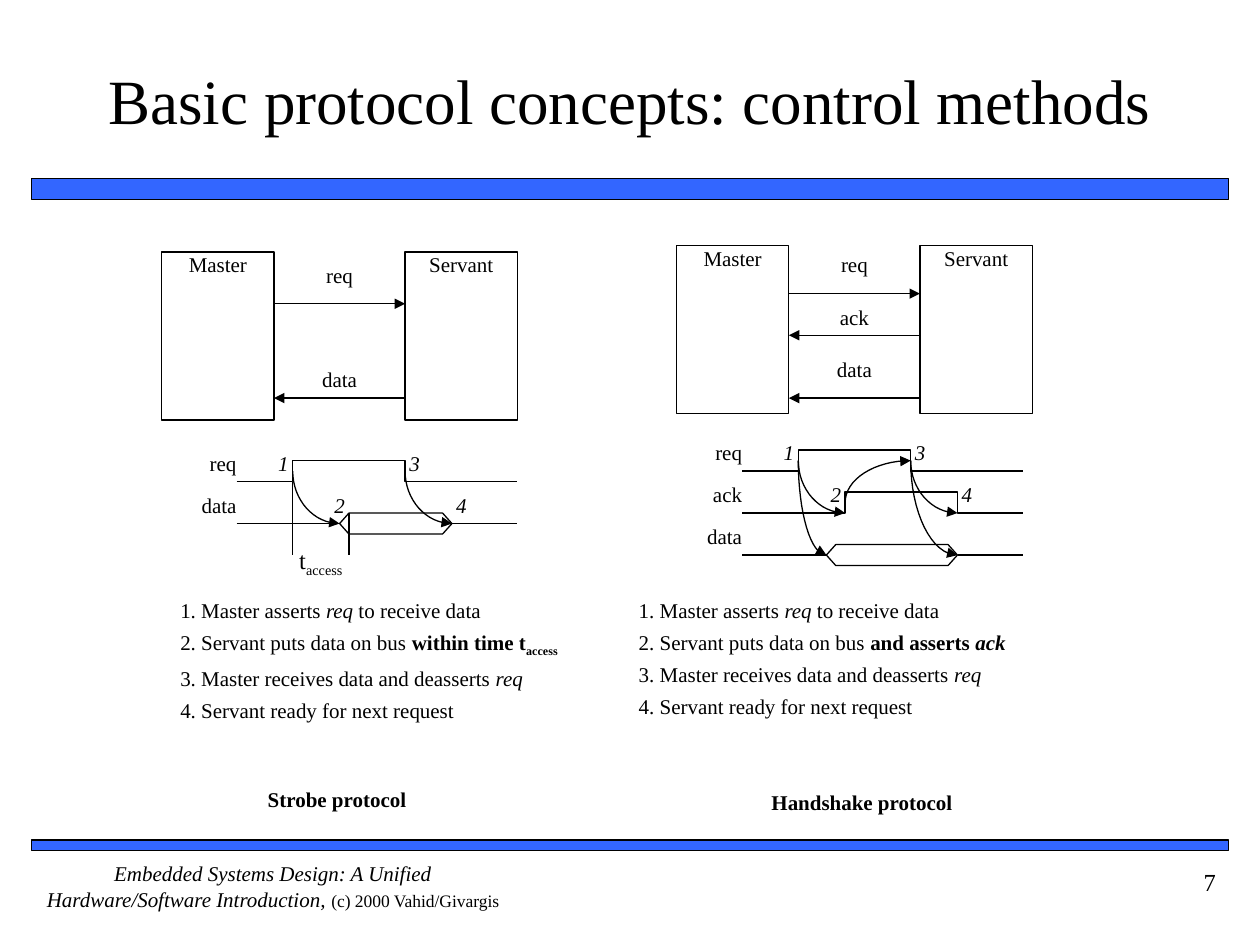
import math
from dataclasses import dataclass

import pptx
import pptx.dml.color
import pptx.enum.shapes
import pptx.enum.text
import pptx.oxml.ns
import pptx.util
from lxml import etree

Pt = pptx.util.Pt
Align = pptx.enum.text.PP_ALIGN
Kind = pptx.enum.shapes.MSO_SHAPE
qn = pptx.oxml.ns.qn


@dataclass(frozen=True)
class Theme:
    ink: str = "000000"
    paper: str = "FFFFFF"
    band: str = "3366FF"
    font: str = "Times New Roman"
    title: float = 36
    big: float = 14
    text: float = 12
    small: float = 10
    thin: float = 0.75
    thick: float = 1.5


T = Theme()
X = 5.35  # time step, width of one grid cell
ROW = 24  # gap between signal rows
HIGH = 12  # height of a pulse


def tint(code):
    return pptx.dml.color.RGBColor.from_string(code)


def write(shape, *lines, size=T.text, align=Align.CENTER, inset=(0, 0),
          middle=False, after=0):
    """Fill a shape with lines; a line is a list of (text, marks[, size]).

    Marks: b bold, i italic, s subscript.
    """
    frame = shape.text_frame
    frame.word_wrap = True
    frame.auto_size = pptx.enum.text.MSO_AUTO_SIZE.NONE
    anchor = pptx.enum.text.MSO_ANCHOR
    frame.vertical_anchor = anchor.MIDDLE if middle else anchor.TOP
    frame.margin_left = frame.margin_right = Pt(inset[0])
    frame.margin_top = frame.margin_bottom = Pt(inset[1])
    for i, line in enumerate(lines):
        para = frame.add_paragraph() if i else frame.paragraphs[0]
        para.alignment = align
        para.space_before, para.space_after = Pt(0), Pt(after)
        for text, marks, *own in line:
            run = para.add_run()
            run.text = text
            font = run.font
            font.name, font.size = T.font, Pt(own[0] if own else size)
            font.bold, font.italic = "b" in marks, "i" in marks
            font.color.rgb = tint(T.ink)
            if "s" in marks:
                run._r.get_or_add_rPr().set("baseline", "-25000")


def place(shape, x, y, w, h):
    shape.left, shape.top, shape.width, shape.height = map(Pt, (x, y, w, h))


def label(slide, text, x, y, w, h=24, marks="", **form):
    parts = [(text, marks)] if isinstance(text, str) else text
    write(slide.shapes.add_textbox(Pt(x), Pt(y), Pt(w), Pt(h)), parts, **form)


def stroke(shape, width=T.thin, arrow=False):
    shape.line.color.rgb = tint(T.ink)
    shape.line.width = Pt(width)
    if arrow:
        tip = etree.SubElement(shape.line._get_or_add_ln(), qn("a:tailEnd"))
        tip.set("type", "triangle")


def block(slide, x, y, w, h, fill=None, kind=Kind.RECTANGLE, width=T.thin):
    shape = slide.shapes.add_shape(kind, Pt(x), Pt(y), Pt(w), Pt(h))
    shape.shadow.inherit = False
    if fill:
        shape.fill.solid()
        shape.fill.fore_color.rgb = tint(fill)
    else:
        shape.fill.background()
    stroke(shape, width)
    return shape


def link(slide, x1, y1, x2, y2, **form):
    line = slide.shapes.add_connector(
        pptx.enum.shapes.MSO_CONNECTOR.STRAIGHT, Pt(x1), Pt(y1), Pt(x2), Pt(y2))
    stroke(line, **form)
    etree.SubElement(line._element.spPr, qn("a:effectLst"))


def trace(slide, points, **form):
    spots = [(Pt(x), Pt(y)) for x, y in points]
    path = slide.shapes.build_freeform(*spots[0])
    path.add_line_segments(spots[1:], close=False)
    shape = path.convert_to_shape()
    shape.shadow.inherit = False
    shape.fill.background()
    stroke(shape, **form)


def curve(slide, x1, y1, x2, y2, steps=16):
    """Quarter ellipse that leaves upright and lands level, with an arrow."""
    turns = [math.pi / 2 * i / steps for i in range(steps + 1)]
    trace(slide, [(x1 + (x2 - x1) * (1 - math.cos(a)),
                   y1 + (y2 - y1) * math.sin(a)) for a in turns], arrow=True)


def pair(slide, x, y, links):
    """Master and servant boxes; links are (name, label y, line y, back, width)."""
    wide, far = 12 * X, 26 * X
    for name, left in (("Master", x), ("Servant", x + far)):
        write(block(slide, left, y, wide, 96, T.paper), [(name, "")])
    for name, top, line, back, width in links:
        ends = (x + far, x + wide) if back else (x + wide, x + far)
        link(slide, ends[0], line, ends[1], line, width=width, arrow=True)
        label(slide, name, x + 14 * X, top, 10 * X)


def chart(slide, x, y, pulses, bus, marks, curves):
    """Timing chart; x is the start of time and y the low level of req."""
    def at(step, drop):
        return x + step * X, y + drop

    # Pulse rows, then the data bus
    for i, (name, rise, fall) in enumerate(pulses):
        low = i * ROW
        label(slide, name, x - 6 * X, y + low - 18, 6 * X, align=Align.RIGHT)
        trace(slide, [at(0, low), at(rise, low), at(rise, low - HIGH),
                      at(fall, low - HIGH), at(fall, low), at(30, low)])
    mid, (start, stop) = len(pulses) * ROW, bus
    label(slide, "data", x - 6 * X, y + mid - 18, 6 * X, align=Align.RIGHT)
    cell = block(slide, *at(start, mid - 6), (stop - start) * X, 12,
                 kind=Kind.HEXAGON)
    cell.adjustments[0] = X / 12
    for a, b in ((0, start), (stop, 30)):
        link(slide, *at(a, mid), *at(b, mid))

    # Cause arrows and step marks
    for a, rise, b, drop in curves:
        curve(slide, *at(a, rise), *at(b, drop))
    for i, (step, row) in enumerate(marks, 1):
        label(slide, str(i), *at(step, row * ROW - 18), 2 * X, 18, marks="i")


def steps(holder, x, second):
    place(holder, x, 341.3, 246, 80)
    write(holder,
          [("1. Master asserts ", ""), ("req", "i"), (" to receive data", "")],
          [("2. Servant puts data on bus ", ""), *second],
          [("3. Master receives data and deasserts ", ""), ("req", "i")],
          [("4. Servant ready for next request", "")],
          align=Align.LEFT, after=4)
    for para in holder.text_frame.paragraphs:
        props = para._p.get_or_add_pPr()
        props.set("marL", "0")
        props.set("indent", "0")
        etree.SubElement(props, qn("a:buNone"))


def frame(slide):
    """Title, bands, footer and page number."""
    place(slide.shapes.title, 30, 12, 660, 90)
    write(slide.shapes.title, [("Basic protocol concepts: control methods", "")],
          size=T.title, inset=(0, 3.6), middle=True)
    for top, high in ((102, 12), (480, 6)):
        block(slide, 18, top, 684, high, T.band, width=1)
    label(slide, [("Embedded Systems Design: A Unified Hardware/Software "
                   "Introduction, ", "i"),
                  ("(c) 2000 Vahid/Givargis", "", T.small)], 18, 492, 276, 36)
    label(slide, "7", 630, 492, 72, 36, size=T.big, align=Align.RIGHT,
          inset=(7.2, 3.6))


def strobe(slide, holder):
    pair(slide, 92.4, 144, [("req", 149.8, 173.6, False, T.thin),
                            ("data", 209.5, 227.5, True, T.thick)])
    x, y = 135.2, 275.2
    chart(slide, x, y, [("req", 6, 18)], (11, 23),
          [(4, 0), (10, 1), (18, 0), (23, 1)],
          [(6, -6, 11, 24), (18, -6, 23, 24)])
    # Access time
    for step, top in ((6, 0), (12, 18)):
        link(slide, x + step * X, y + top, x + step * X, y + 42)
    label(slide, [("t", ""), ("access", "s")], x + 4 * X, y + 36, 10 * X,
          size=T.big)
    steps(holder, 103, [("within time t", "b"), ("access", "bs")])
    label(slide, "Strobe protocol", 130.3, 449.3, 124.6, 20, marks="b")


def handshake(slide, holder):
    pair(slide, 386.6, 140.4, [("req", 144, 167.8, False, T.thin),
                               ("ack", 173.8, 191.6, True, T.thin),
                               ("data", 203.8, 227.5, True, T.thick)])
    chart(slide, 424.1, 269.2, [("req", 6, 18), ("ack", 11, 23)], (9, 23),
          [(4, 0), (9, 1), (18, 0), (23, 1)],
          [(6, -6, 11, 24), (18, -6, 23, 24), (6, -6, 9, 48),
           (18, -6, 23, 48), (11, 18, 18, -6)])
    steps(holder, 365, [("and asserts ", "b"), ("ack", "bi")])
    label(slide, "Handshake protocol", 412.6, 451.4, 160, 18, marks="b")


def main():
    deck = pptx.Presentation()
    deck.slide_width, deck.slide_height = Pt(720), Pt(540)
    slide = deck.slides.add_slide(deck.slide_layouts[3])
    frame(slide)
    strobe(slide, slide.placeholders[1])
    handshake(slide, slide.placeholders[2])
    deck.save("out.pptx")


if __name__ == "__main__":
    main()
